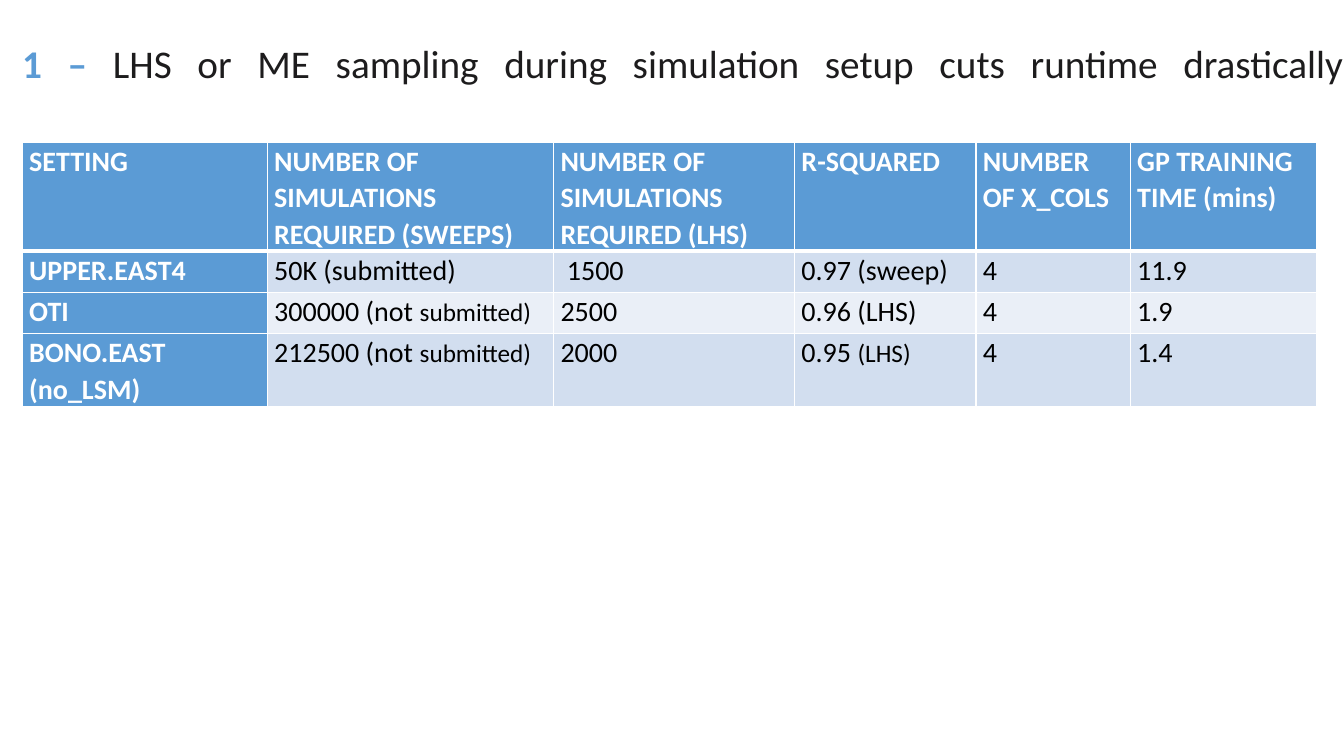
from lxml.etree import SubElement
from pptx import Presentation
from pptx.dml.color import RGBColor
from pptx.enum.text import MSO_ANCHOR, PP_ALIGN
from pptx.oxml.ns import qn
from pptx.util import Inches, Pt

# Content: a cell is a list of (text, size) runs or a plain string
TITLE = [("1 – ", "accent", True),
         ("LHS or ME sampling during simulation setup cuts runtime drastically", "ink", False)]
ROWS = [
    ["SETTING", "NUMBER OF SIMULATIONS REQUIRED (SWEEPS)",
     "NUMBER OF SIMULATIONS REQUIRED (LHS)", "R-SQUARED",
     "NUMBER OF X_COLS", "GP TRAINING TIME (mins)"],
    ["UPPER.EAST4", "50K (submitted)", " 1500", "0.97 (sweep)", "4", "11.9"],
    ["OTI", [("300000 (not ", 20), ("submitted)", 18)], "2500", "0.96 (LHS)", "4", "1.9"],
    ["BONO.EAST (no_LSM)", [("212500 (not ", 20), ("submitted)", 18)], "2000",
     [("0.95 ", 20), ("(LHS)", 18)], "4", "1.4"],
]
COLORS = {"accent": "5B9BD5", "ink": "1D1C1D", "white": "FFFFFF", "black": "000000",
          "band_dark": "D2DEEF", "band_light": "EAEFF7"}
FONT, TITLE_SIZE, CELL_SIZE = "Calibri", 28, 20

# Layout in inches
LEFT, TABLE_TOP = 0.22, 1.41
COL_WIDTHS = [2.43, 2.84, 2.39, 1.8, 1.53, 1.85]
ROW_HEIGHTS = [1.08, 0.41, 0.41, 0.72]


def rgb(name):
    return RGBColor.from_string(COLORS[name])


def add_run(p, text, size, color, bold):
    r = p.add_run()
    r.text = text
    r.font.name, r.font.size, r.font.bold = FONT, Pt(size), bold
    r.font.color.rgb = rgb(color)


def add_border(cell, side, width):
    ln = SubElement(cell._tc.get_or_add_tcPr(), qn("a:ln" + side), w=str(Pt(width)))
    fill = SubElement(ln, qn("a:solidFill"))
    SubElement(fill, qn("a:srgbClr"), val=COLORS["white"])


prs = Presentation()
prs.slide_width, prs.slide_height = Inches(13.33), Inches(7.5)
slide = prs.slides.add_slide(prs.slide_layouts[6])

# Title: the closing line break stretches the justified line
title = slide.shapes.add_textbox(Inches(LEFT), Inches(0.68), Inches(13.2), Inches(0.41))
tf = title.text_frame
tf.word_wrap, tf.vertical_anchor, tf.margin_left = True, MSO_ANCHOR.MIDDLE, 0
p = tf.paragraphs[0]
p.alignment, p.line_spacing = PP_ALIGN.JUSTIFY, 0.9
for text, color, bold in TITLE:
    add_run(p, text, TITLE_SIZE, color, bold)
p.add_line_break()
size = str(TITLE_SIZE * 100)
SubElement(p._p.find(qn("a:br")), qn("a:rPr"), sz=size)
SubElement(p._p, qn("a:endParaRPr"), sz=size)

# Table
table = slide.shapes.add_table(
    len(ROWS), len(COL_WIDTHS), Inches(LEFT), Inches(TABLE_TOP),
    Inches(sum(COL_WIDTHS)), Inches(sum(ROW_HEIGHTS))).table
table.first_col = True
for column, width in zip(table.columns, COL_WIDTHS):
    column.width = Inches(width)
for row, height in zip(table.rows, ROW_HEIGHTS):
    row.height = Inches(height)

for i, row in enumerate(ROWS):
    for j, content in enumerate(row):
        cell = table.cell(i, j)
        heading = i == 0 or j == 0
        band = "band_dark" if i % 2 else "band_light"

        # Borders, with a thick line under the header row
        widths = {"L": 1, "R": 1, "T": 3 if i == 1 else 1, "B": 3 if i == 0 else 1}
        for side, width in widths.items():
            add_border(cell, side, width)
        cell.fill.solid()
        cell.fill.fore_color.rgb = rgb("accent" if heading else band)

        # Text
        cell.margin_left = cell.margin_right = Inches(0.07)
        cell.margin_top = cell.margin_bottom = 0
        p = cell.text_frame.paragraphs[0]
        p.line_spacing = 1.07
        runs = [(content, CELL_SIZE)] if isinstance(content, str) else content
        for text, size in runs:
            add_run(p, text, size, "white" if heading else "black", heading)

prs.save("out.pptx")
